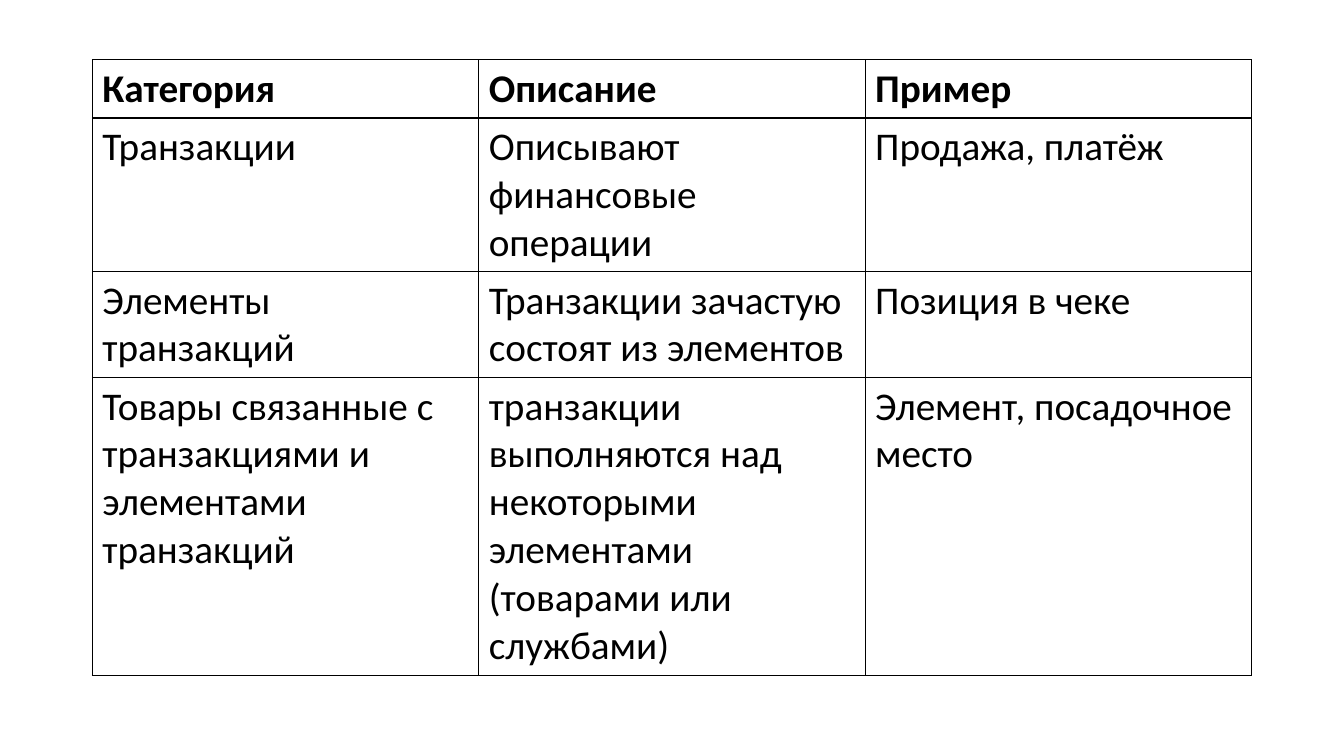
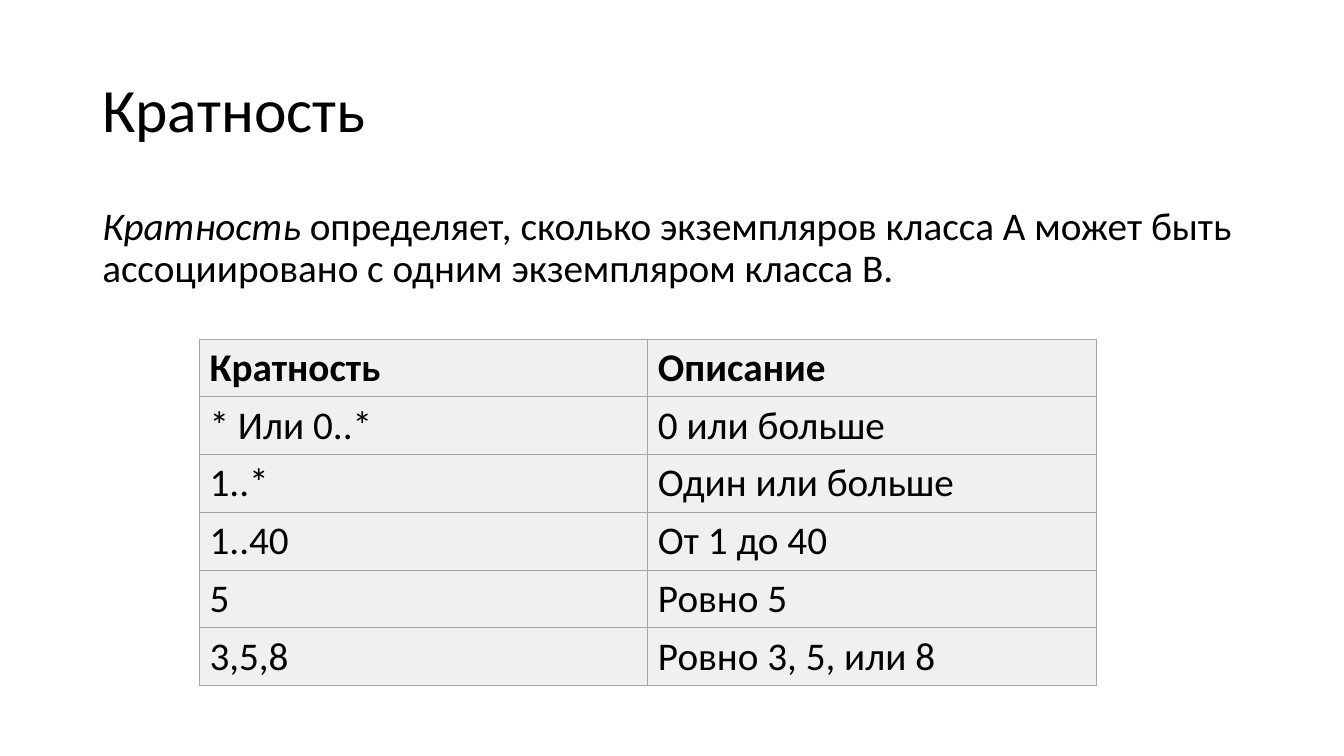
from pptx import Presentation
from pptx.dml.color import RGBColor
from pptx.enum.text import MSO_ANCHOR as Anchor
from pptx.oxml import parse_xml
from pptx.oxml.ns import nsdecls
from pptx.util import Emu, Pt

PX = 9525
BLACK, GRAY, PALE = "000000", "A5A5A5", "F0F0F0"


def px(length):
    return Emu(length * PX)


def color(value):
    return RGBColor.from_string(value)


class Deck:
    font = "Calibri"
    title_size = 44
    text_size = 28

    def __init__(self):
        self.presentation = Presentation()
        self.presentation.slide_width = px(1280)
        self.presentation.slide_height = px(720)
        self.slide = None

    def new_slide(self):
        blank = self.presentation.slide_layouts[6]
        self.slide = self.presentation.slides.add_slide(blank)

    def style(self, run, size, bold=False, italic=False):
        run.font.name = self.font
        run.font.size = Pt(size)
        run.font.bold = bold
        run.font.italic = italic
        run.font.color.rgb = color(BLACK)

    def text(self, left, top, width, height, anchor):
        box = self.slide.shapes.add_textbox(*map(px, (left, top, width, height)))
        box.text_frame.word_wrap = True
        box.text_frame.vertical_anchor = anchor
        paragraph = box.text_frame.paragraphs[0]
        paragraph.line_spacing = 0.9
        return paragraph

    def title(self, wording):
        paragraph = self.text(88, 38, 1104, 139, Anchor.MIDDLE)
        paragraph.text = wording
        self.style(paragraph.runs[0], self.title_size)

    def definition(self, term, meaning):
        paragraph = self.text(88, 192, 1104, 457, Anchor.TOP)
        paragraph.space_before = Pt(10)
        for wording, italic in ((term, True), (meaning, False)):
            run = paragraph.add_run()
            run.text = wording
            self.style(run, self.text_size, italic=italic)

    def border(self, cell, side, line, points):
        cell._tc.get_or_add_tcPr().append(parse_xml(
            f'<a:ln{side} {nsdecls("a")} w="{Pt(points)}"><a:solidFill>'
            f'<a:srgbClr val="{line}"/></a:solidFill></a:ln{side}>'))

    def table(self, left, top, column_width, rows, line_counts, line,
              fill=None, header_rule=1):
        heights = [10 + 91 * count // 2 for count in line_counts]
        columns = len(rows[0])
        grid = self.slide.shapes.add_table(
            len(rows), columns, px(left), px(top),
            px(column_width * columns), px(sum(heights))).table
        grid.first_row = False
        grid.horz_banding = False
        for column in grid.columns:
            column.width = px(column_width)
        for index, (wordings, height) in enumerate(zip(rows, heights)):
            grid.rows[index].height = px(height)
            is_header = index == 0
            for position, wording in enumerate(wordings):
                cell = grid.cell(index, position)
                cell.text_frame.text = wording
                self.style(cell.text_frame.paragraphs[0].runs[0],
                           self.text_size, bold=is_header)
                for side in "LRTB":
                    thick = is_header and side == "B"
                    self.border(cell, side, line, header_rule if thick else 1)
                if fill:
                    cell.fill.solid()
                    cell.fill.fore_color.rgb = color(fill)
                else:
                    cell.fill.background()


def main():
    deck = Deck()

    deck.new_slide()
    categories = [
        ("Категория", "Описание", "Пример"),
        ("Транзакции", "Описывают финансовые операции", "Продажа, платёж"),
        ("Элементы транзакций", "Транзакции зачастую состоят из элементов",
         "Позиция в чеке"),
        ("Товары связанные с транзакциями и элементами транзакций",
         "транзакции выполняются над некоторыми элементами "
         "(товарами или службами)",
         "Элемент, посадочное место"),
    ]
    deck.table(88, 57, 368, categories, (1, 3, 2, 6), BLACK, header_rule=2)

    deck.new_slide()
    deck.title("Кратность")
    deck.definition("Кратность ",
                    "определяет, сколько экземпляров класса А может быть "
                    "ассоциировано с одним экземпляром класса В.")
    multiplicities = [
        ("Кратность", "Описание"),
        ("* Или 0..*", "0 или больше"),
        ("1..*", "Один или больше"),
        ("1..40", "От 1 до 40"),
        ("5", "Ровно 5"),
        ("3,5,8", "Ровно 3, 5, или 8"),
    ]
    deck.table(190, 323, 427, multiplicities, [1] * len(multiplicities),
               GRAY, fill=PALE)

    deck.presentation.save("out.pptx")


if __name__ == "__main__":
    main()
